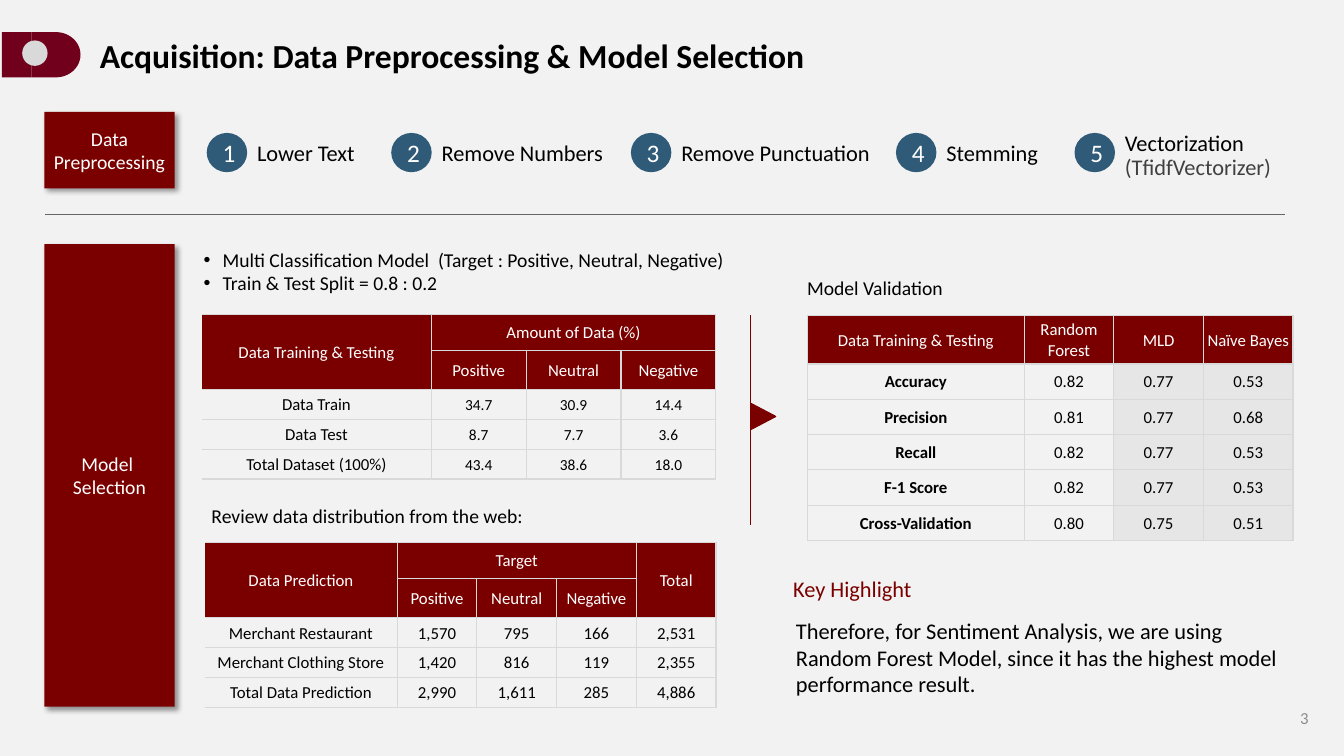
from lxml import etree
from pptx import Presentation
from pptx.dml.color import RGBColor
from pptx.enum import shapes, text
from pptx.oxml.ns import qn
from pptx.util import Cm, Pt

MAROON = RGBColor(0x7A, 0x00, 0x00)
BADGE_RED = RGBColor(0x71, 0x00, 0x1C)
BLUE = RGBColor(0x2F, 0x5A, 0x78)
PAPER = RGBColor(0xF2, 0xF2, 0xF2)
COLUMN_GREY = RGBColor(0xE7, 0xE6, 0xE6)
RULE_GREY = RGBColor(0xD9, 0xD9, 0xD9)
LINE_GREY = RGBColor(0x66, 0x66, 0x66)
NOTE_GREY = RGBColor(0x40, 0x40, 0x40)
PAGE_GREY = RGBColor(0x8C, 0x8C, 0x8C)
BLACK = RGBColor(0, 0, 0)
WHITE = RGBColor(255, 255, 255)

LEFT, CENTER, RIGHT = text.PP_ALIGN.LEFT, text.PP_ALIGN.CENTER, text.PP_ALIGN.RIGHT
TOP, MIDDLE = text.MSO_ANCHOR.TOP, text.MSO_ANCHOR.MIDDLE
KIND = shapes.MSO_SHAPE


def write(frame, words, size, color=BLACK, align=LEFT, anchor=TOP, bold=False):
    frame.text = words
    frame.word_wrap = True
    frame.vertical_anchor = anchor
    for paragraph in frame.paragraphs:
        paragraph.alignment = align
        for run in paragraph.runs:
            run.font.name = "Calibri"
            run.font.size = Pt(size)
            run.font.bold = bold
            run.font.color.rgb = color


def add_data_table(left, top, widths, heights, rows, header_rows, merges=(),
                   open_left=False, number_size=12, bold_labels=False, grey_from=99):
    """Add a ruled table; value columns from grey_from on are shaded."""
    table = slide.shapes.add_table(len(rows), len(widths), Cm(left), Cm(top),
                                   Cm(sum(widths)), Cm(sum(heights))).table
    table.horz_banding = False
    for column, width in zip(table.columns, widths):
        column.width = Cm(width)
    for row, height in zip(table.rows, heights):
        row.height = Cm(height)
    for r, values in enumerate(rows):
        for c, value in enumerate(values):
            cell = table.cell(r, c)
            header = r < header_rows
            cell.margin_left = cell.margin_right = cell.margin_top = Cm(0.03)
            cell.margin_bottom = 0
            write(cell.text_frame, value, 12 if header or c == 0 else number_size,
                  WHITE if header else BLACK, CENTER,
                  bold=bold_labels and c == 0 and not header)
            cell.vertical_anchor = MIDDLE
            cell.fill.solid()
            cell.fill.fore_color.rgb = MAROON if header else COLUMN_GREY if c >= grey_from else PAPER
            properties = cell._tc.get_or_add_tcPr()
            for position, side in enumerate(("lnL", "lnR", "lnT", "lnB")):
                border = etree.Element(qn(f"a:{side}"), w=str(Pt(1)))
                if open_left and c == 0 and side == "lnL":
                    etree.SubElement(border, qn("a:noFill"))
                else:
                    solid = etree.SubElement(border, qn("a:solidFill"))
                    etree.SubElement(solid, qn("a:srgbClr"), val=str(RULE_GREY))
                properties.insert(position, border)
    for r, c, last_r, last_c in merges:
        table.cell(r, c).merge(table.cell(last_r, last_c))


prs = Presentation()
prs.slide_width, prs.slide_height = Cm(33.87), Cm(19.05)
slide = prs.slides.add_slide(prs.slide_layouts[5])
slide.background.fill.solid()
slide.background.fill.fore_color.rgb = PAPER

title = slide.shapes.title
title.left, title.top, title.width, title.height = Cm(2.26), Cm(0.74), Cm(20), Cm(1.27)
write(title.text_frame, "Acquisition: Data Preprocessing & Model Selection", 24, bold=True)

# Solid shapes: title badge, section blocks, step circles, pointer
solids = [
    (KIND.FLOWCHART_DELAY, 0.79, 0.81, 1.24, 1.14, BADGE_RED, "", 0),
    (KIND.RECTANGLE, 0.05, 0.81, 0.74, 1.14, BADGE_RED, "", 0),
    (KIND.OVAL, 0.56, 1.02, 0.64, 0.64, RULE_GREY, "", 0),
    (KIND.RECTANGLE, 1.12, 2.82, 3.28, 1.93, MAROON, "Data Preprocessing", 14),
    (KIND.RECTANGLE, 1.12, 6.15, 3.28, 11.66, MAROON, "Model \vSelection", 14),
    (KIND.ISOSCELES_TRIANGLE, 18.92, 10.19, 0.64, 0.61, MAROON, "", 0),
]
step_lefts = [5.21, 9.86, 15.9, 22.58, 27.08]
for number, left in enumerate(step_lefts, 1):
    solids.append((KIND.OVAL, left, 3.35, 1.02, 0.99, BLUE, str(number), 18))

for kind, left, top, width, height, color, words, size in solids:
    solid = slide.shapes.add_shape(kind, Cm(left), Cm(top), Cm(width), Cm(height))
    solid.shadow.inherit = False
    solid.fill.solid()
    solid.fill.fore_color.rgb = color
    solid.line.fill.background()
    if words:
        write(solid.text_frame, words, size, WHITE, CENTER, MIDDLE)
    if size == 14:
        solid.text_frame.margin_left = solid.text_frame.margin_right = 0
        effects = solid._element.spPr.find(qn("a:effectLst"))
        shadow = etree.SubElement(effects, qn("a:outerShdw"), blurRad=str(Pt(4)), dist=str(Pt(3)),
                                  dir="2700000", algn="tl", rotWithShape="0")
        shade = etree.SubElement(shadow, qn("a:srgbClr"), val="000000")
        etree.SubElement(shade, qn("a:alpha"), val="40000")
    if kind == KIND.ISOSCELES_TRIANGLE:
        solid.rotation = 90
        solid.line.color.rgb = MAROON
        solid.line.width = Pt(1)

for x1, y1, x2, y2, color, weight in [(1.14, 5.41, 32.39, 5.41, LINE_GREY, 0.75),
                                      (18.92, 7.95, 18.92, 13.23, MAROON, 0.5)]:
    rule = slide.shapes.add_connector(shapes.MSO_CONNECTOR.STRAIGHT, Cm(x1), Cm(y1), Cm(x2), Cm(y2))
    rule.line.color.rgb = color
    rule.line.width = Pt(weight)
    etree.SubElement(rule._element.spPr, qn("a:effectLst"))

steps = ["Lower Text", "Remove Numbers", "Remove Punctuation", "Stemming",
         "Vectorization\n(TfidfVectorizer)"]
for left, step in zip(step_lefts, steps):
    two_lines = "\n" in step
    label = slide.shapes.add_textbox(Cm(left + 1.02), Cm(3.2 if two_lines else 3.45),
                                     Cm(5.7), Cm(1.5 if two_lines else 0.86)).text_frame
    write(label, step, 16)
    for paragraph in label.paragraphs:
        paragraph.line_spacing = 0.9
    for paragraph in label.paragraphs[1:]:
        paragraph.runs[0].font.color.rgb = NOTE_GREY

setup = slide.shapes.add_textbox(Cm(4.88), Cm(6.12), Cm(14.04), Cm(1.45)).text_frame
write(setup, "Multi Classification Model  (Target : Positive, Neutral, Negative)\n"
             "Train & Test Split = 0.8 : 0.2", 14)
for paragraph in setup.paragraphs:
    properties = paragraph._p.get_or_add_pPr()
    properties.set("marL", str(Cm(0.48)))
    properties.set("indent", str(-Cm(0.48)))
    etree.SubElement(properties, qn("a:buFont"), typeface="Arial")
    etree.SubElement(properties, qn("a:buChar"), char="•")

for left, top, width, height, words, size, color, align, anchor in [
    (5.08, 12.57, 9.53, 0.86, "Review data distribution from the web:", 14, BLACK, LEFT, TOP),
    (20.09, 6.83, 9.09, 0.86, "Model Validation", 14, BLACK, LEFT, TOP),
    (19.74, 14.38, 4.5, 0.94, "Key Highlight", 16, MAROON, LEFT, TOP),
    (19.81, 15.42, 12.75, 2.31, "Therefore, for Sentiment Analysis, we are using Random Forest Model, "
     "since it has the highest model performance result.", 16, BLACK, LEFT, TOP),
    (27.51, 17.58, 5.72, 1.02, "3", 12, PAGE_GREY, RIGHT, MIDDLE),
]:
    box = slide.shapes.add_textbox(Cm(left), Cm(top), Cm(width), Cm(height))
    write(box.text_frame, words, size, color, align, anchor)

data_heights = [0.91, 0.99] + [0.75] * 3
add_data_table(5.08, 7.92, [5.79] + [2.39] * 3, data_heights, [
    ["Data Training & Testing", "Amount of Data (%)", "", ""],
    ["", "Positive", "Neutral", "Negative"],
    ["Data Train", "34.7", "30.9", "14.4"],
    ["Data Test", "8.7", "7.7", "3.6"],
    ["Total Dataset (100%)", "43.4", "38.6", "18.0"],
], 2, [(0, 0, 1, 0), (0, 1, 0, 3)], open_left=True, number_size=11)

add_data_table(5.16, 13.67, [4.85] + [2.01] * 4, data_heights, [
    ["Data Prediction", "Target", "", "", "Total"],
    ["", "Positive", "Neutral", "Negative", ""],
    ["Merchant Restaurant", "1,570", "795", "166", "2,531"],
    ["Merchant Clothing Store", "1,420", "816", "119", "2,355"],
    ["Total Data Prediction", "2,990", "1,611", "285", "4,886"],
], 2, [(0, 0, 1, 0), (0, 1, 0, 3), (0, 4, 1, 4)], open_left=True)

add_data_table(20.35, 7.95, [5.46] + [2.26] * 3, [1.22] + [0.89] * 5, [
    ["Data Training & Testing", "Random Forest", "MLD", "Naïve Bayes"],
    ["Accuracy", "0.82", "0.77", "0.53"],
    ["Precision", "0.81", "0.77", "0.68"],
    ["Recall", "0.82", "0.77", "0.53"],
    ["F-1 Score", "0.82", "0.77", "0.53"],
    ["Cross-Validation", "0.80", "0.75", "0.51"],
], 1, bold_labels=True, grey_from=2)

prs.save("out.pptx")
